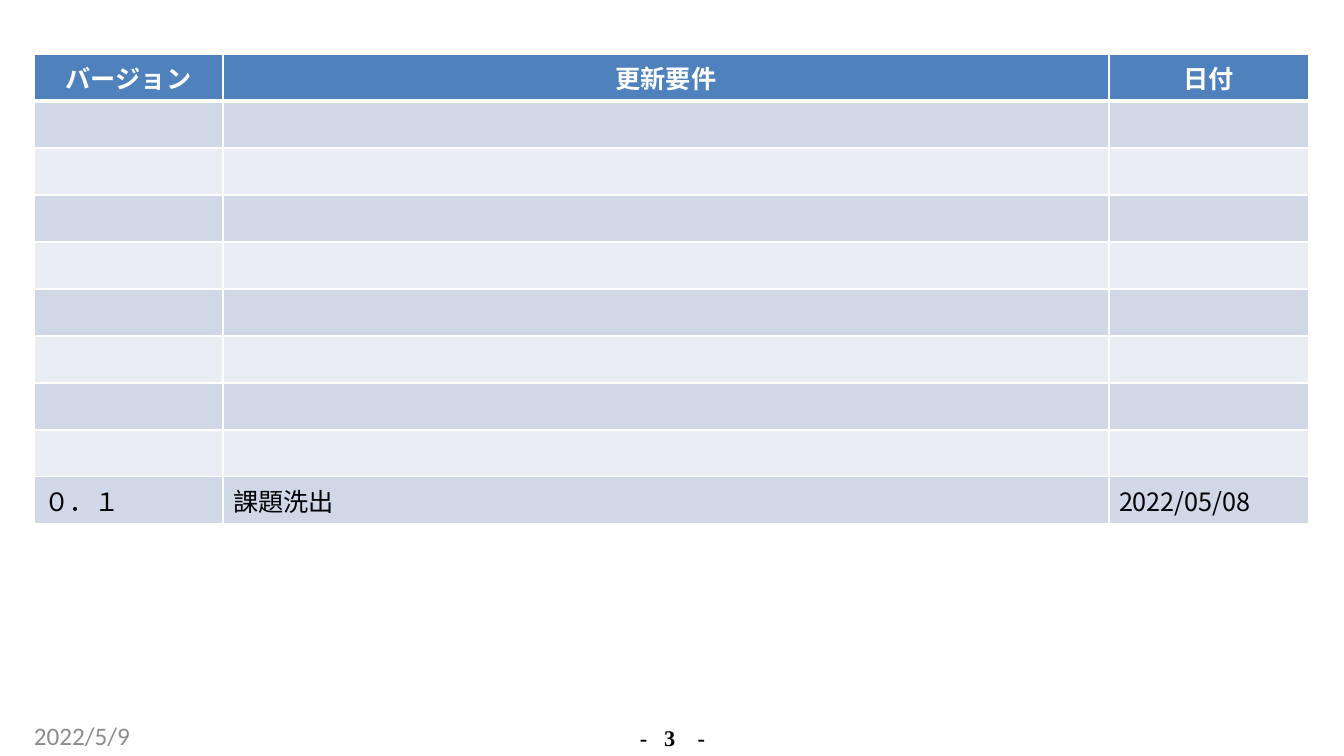
"""Build the revision history slide with its version table, date and page number."""
from lxml import etree
from pptx import Presentation
from pptx.dml.color import RGBColor
from pptx.enum.text import PP_ALIGN
from pptx.oxml.ns import qn
from pptx.util import Emu, Pt

LEFT, CENTER = PP_ALIGN.LEFT, PP_ALIGN.CENTER
WHITE = RGBColor(0xFF, 0xFF, 0xFF)
BLACK = RGBColor(0, 0, 0)
GRAY = RGBColor(0x8C, 0x8C, 0x8C)
HEADER_BLUE = RGBColor(0x4F, 0x81, 0xBD)
BANDS = (RGBColor(0xE9, 0xED, 0xF4), RGBColor(0xD0, 0xD8, 0xE8))
TABLE_FONT = "Noto Sans CJK SC"


def px(pixels):
    return Emu(round(pixels * 914400 / 100.8))


class SlideBuilder:
    def __init__(self, slide):
        self.slide = slide

    def fill_paragraph(self, paragraph, text, font, size, color, bold=False, align=LEFT):
        paragraph.text = text
        paragraph.alignment = align
        paragraph.font.name = font
        paragraph.font.size = Pt(size)
        paragraph.font.bold = bold
        paragraph.font.color.rgb = color
        defaults = paragraph._p.pPr.find(qn("a:defRPr"))
        etree.SubElement(defaults, qn("a:ea"), typeface=font)

    def text(self, box, text, font, size, color, bold=False, align=LEFT):
        frame = self.slide.shapes.add_textbox(*map(px, box)).text_frame
        frame.word_wrap = True
        frame.margin_left = frame.margin_right = 0
        frame.margin_top = frame.margin_bottom = 0
        paragraph = frame.paragraphs[0]
        self.fill_paragraph(paragraph, text, font, size, color, bold, align)
        return paragraph

    def tab_stop(self, paragraph, position):
        stops = etree.Element(qn("a:tabLst"))
        etree.SubElement(stops, qn("a:tab"), pos=str(px(position)), algn="l")
        paragraph._p.pPr.find(qn("a:defRPr")).addprevious(stops)

    def borders(self, cell, widths):
        properties = cell._tc.get_or_add_tcPr()
        for index, (side, width) in enumerate(widths.items()):
            line = etree.Element(qn(f"a:ln{side}"), w=str(Pt(width)))
            fill = etree.SubElement(line, qn("a:solidFill"))
            etree.SubElement(fill, qn("a:srgbClr"), val=str(WHITE))
            properties.insert(index, line)

    def table(self, left, top, widths, row_height, rows):
        table = self.slide.shapes.add_table(
            len(rows), len(widths), px(left), px(top),
            px(sum(widths)), px(row_height * len(rows))).table
        for column, width in zip(table.columns, widths):
            column.width = px(width)
        for index, values in enumerate(rows):
            table.rows[index].height = px(row_height)
            header = index == 0
            for column, value in enumerate(values):
                cell = table.cell(index, column)
                cell.fill.solid()
                cell.fill.fore_color.rgb = HEADER_BLUE if header else BANDS[index % 2]
                self.fill_paragraph(cell.text_frame.paragraphs[0], value, TABLE_FONT, 18,
                                    WHITE if header else BLACK, header,
                                    CENTER if header else LEFT)
                self.borders(cell, {"L": 1, "R": 1, "T": 3 if index == 1 else 1,
                                    "B": 3 if header else 1})


presentation = Presentation()
presentation.slide_width, presentation.slide_height = px(1344), px(756)
builder = SlideBuilder(presentation.slides.add_slide(presentation.slide_layouts[6]))

headings = ("バージョン", "更新要件", "日付")
first_version = ("０．１", "課題洗出", "2022/05/08")
blank_versions = [("", "", "")] * 8
builder.table(34, 54, (189, 886, 200), 47,
              [headings, *blank_versions, first_version])

builder.text((34, 720, 309, 30), "2022/5/9", "Calibri", 18, GRAY)
page_number = builder.text((629, 725, 87, 25), "-\t3\u3000-", "Times New Roman",
                           16, BLACK, True, CENTER)
page_number.line_spacing = Pt(18.4)
builder.tab_stop(page_number, 24)

presentation.save("out.pptx")
